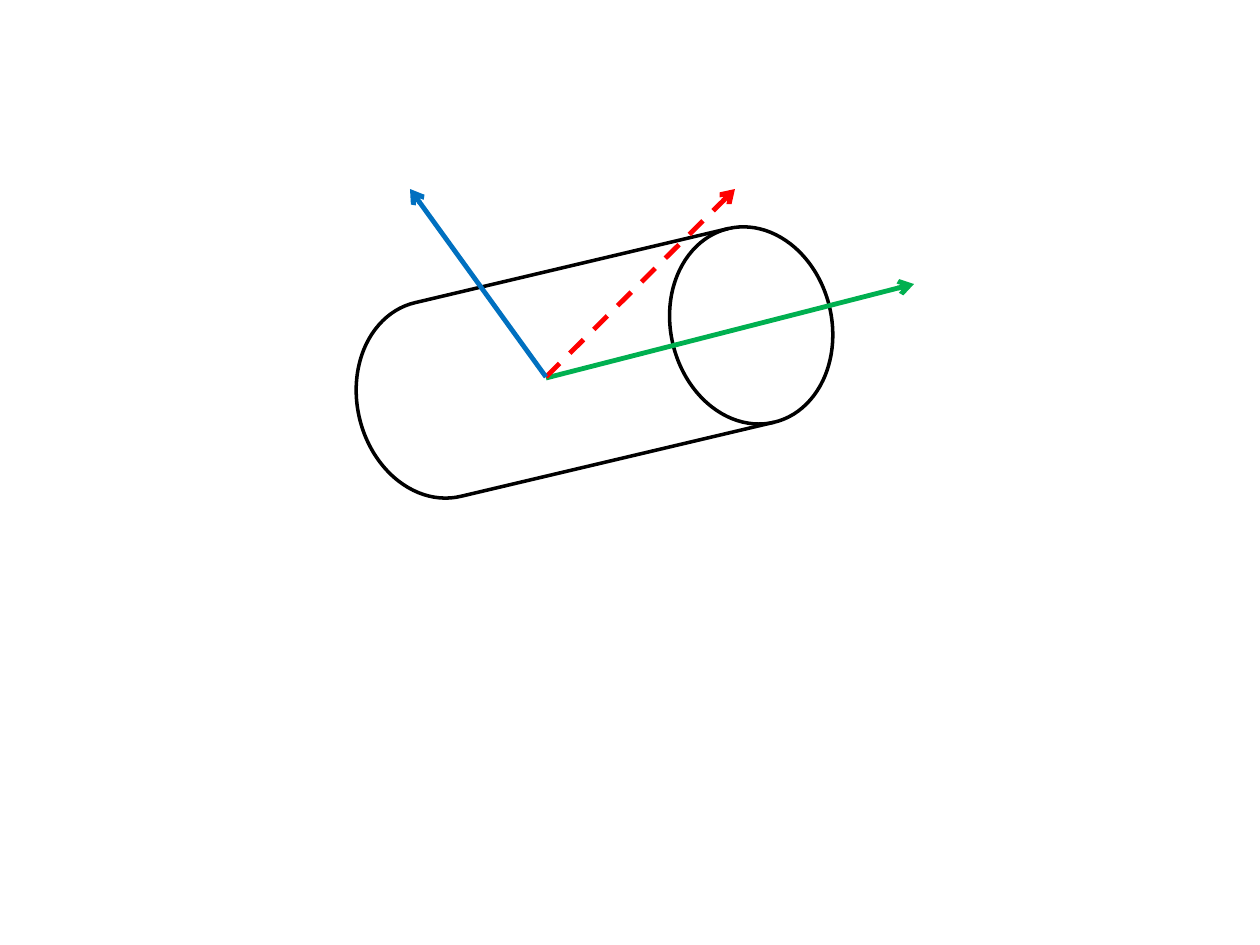
from lxml.etree import SubElement
from pptx import Presentation
from pptx.dml.color import RGBColor
from pptx.enum.dml import MSO_LINE as Dash
from pptx.enum.shapes import MSO_CONNECTOR as Connector, MSO_SHAPE as Shape
from pptx.oxml.ns import qn
from pptx.util import Pt

EMU_PER_PX = 914400 / 126
COLOURS = {"outline": "000000", "axis": "00B050", "diagonal": "FF0000", "normal": "0070C0"}


def px(length):
    """Turn pixels into EMU."""
    return round(length * EMU_PER_PX)


def style_line(line, colour, **formats):
    """Colour a line and set its other format values."""
    line.color.rgb = RGBColor.from_string(COLOURS[colour])
    for attribute, value in formats.items():
        setattr(line, attribute, value)


def add_cylinder(parts, box, rotation):
    """Draw the unfilled, tilted cylinder."""
    cylinder = parts.add_shape(Shape.FLOWCHART_DIRECT_ACCESS_STORAGE, *map(px, box))
    cylinder.rotation = rotation
    cylinder.shadow.inherit = False
    cylinder.fill.background()
    style_line(cylinder.line, "outline", width=Pt(2))


def add_vector(parts, start, tip, colour, **formats):
    """Draw an arrow from start to tip."""
    vector = parts.add_connector(Connector.STRAIGHT, *map(px, start + tip))
    style_line(vector.line, colour, width=Pt(2.75), **formats)
    properties = vector.element.spPr
    SubElement(properties.find(qn("a:ln")), qn("a:tailEnd"), type="arrow")
    SubElement(properties, qn("a:effectLst"))


def main():
    """Build the slide with a cylinder and its three vectors."""
    deck = Presentation()
    deck.slide_width, deck.slide_height = px(1260), px(945)
    slide = deck.slides.add_slide(deck.slide_layouts[6])
    diagram = slide.shapes.add_group_shape().shapes
    add_cylinder(diagram, (353, 263, 483, 199), 346.7)
    origin = (546, 377)
    add_vector(diagram, (546, 378), (914, 284), "axis")
    add_vector(diagram, origin, (735, 189), "diagonal", dash_style=Dash.DASH)
    add_vector(diagram, origin, (410, 189), "normal")
    deck.save("out.pptx")


if __name__ == "__main__":
    main()
